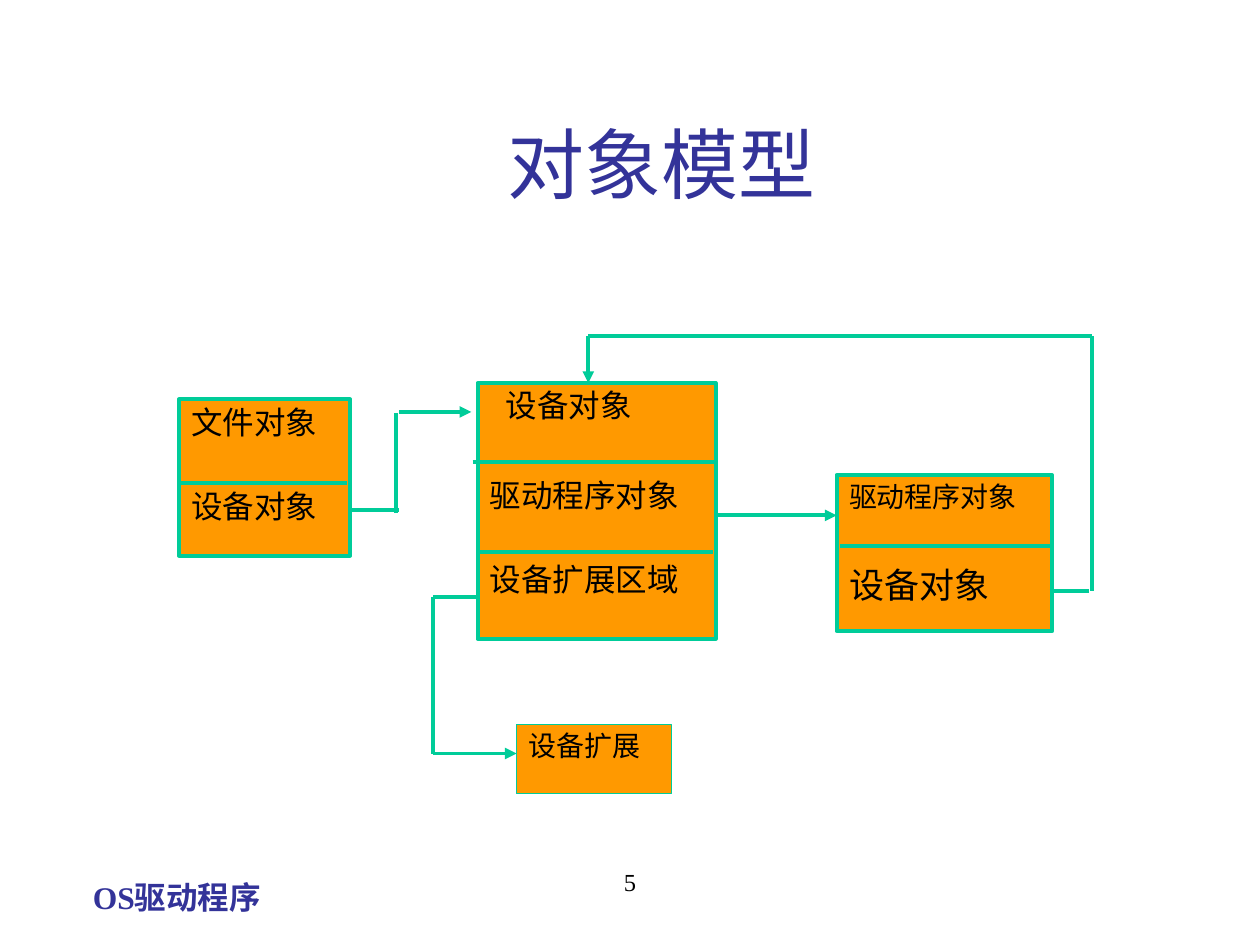
import pptx
import pptx.util
import pptx.dml.color
import pptx.enum.shapes
import pptx.enum.text
import pptx.oxml.ns
from lxml import etree

Pt = pptx.util.Pt
RGB = pptx.dml.color.RGBColor
ALIGN = pptx.enum.text.PP_ALIGN
ANCHOR = pptx.enum.text.MSO_ANCHOR
qn = pptx.oxml.ns.qn

NAVY = RGB(0x33, 0x33, 0x99)
GREEN = RGB(0x00, 0xCC, 0x99)
ORANGE = RGB(0xFF, 0x99, 0x00)
BLACK = RGB(0, 0, 0)
SERIF = "Times New Roman"
SANS = "Noto Sans CJK SC"


def style(para, size, name, color, bold=False):
    for run in para.runs:
        font = run.font
        font.size, font.name, font.bold = Pt(size), name, bold
        font.color.rgb = color
        if name == SANS:
            east = etree.SubElement(run._r.get_or_add_rPr(), qn("a:ea"))
            east.set("typeface", name)


def link(x1, y1, x2, y2, arrow=False):
    line = slide.shapes.add_connector(
        pptx.enum.shapes.MSO_CONNECTOR.STRAIGHT, Pt(x1), Pt(y1), Pt(x2), Pt(y2))
    line.line.color.rgb = GREEN
    line.line.width = Pt(2.25)
    if arrow:
        etree.SubElement(line.line._get_or_add_ln(), qn("a:tailEnd")).set("type", "triangle")
    etree.SubElement(line._element.spPr, qn("a:effectLst"))


prs = pptx.Presentation()
prs.slide_width, prs.slide_height = Pt(720), Pt(540)
slide = prs.slides.add_slide(prs.slide_layouts[5])

# Title
title = slide.shapes.title
title.left, title.top, title.width, title.height = Pt(72), Pt(48), Pt(612), Pt(90)
title.text_frame.text = "对象模型"
title.text_frame.vertical_anchor = ANCHOR.MIDDLE
title.text_frame.paragraphs[0].alignment = ALIGN.CENTER
style(title.text_frame.paragraphs[0], 44, SERIF, NAVY)

# Footer and page number
notes = [
    ("OS驱动程序", 46, 498, 115, 29, 18, NAVY, True, ALIGN.LEFT),
    ("5", 246, 492, 228, 36, 14, BLACK, False, ALIGN.CENTER),
]
for text, x, y, w, h, size, color, bold, align in notes:
    frame = slide.shapes.add_textbox(Pt(x), Pt(y), Pt(w), Pt(h)).text_frame
    frame.word_wrap = align == ALIGN.CENTER
    frame.text = text
    frame.paragraphs[0].alignment = align
    style(frame.paragraphs[0], size, SERIF, color, bold)

# Object boxes: place, line width, rows of (text, size, space before, indent)
boxes = [
    (102.24, 228.24, 97.92, 89.28, 2.25,
     [("文件对象", 18, 0, 0), ("设备对象", 18, 28, 0)]),
    (272.88, 218.88, 136.08, 146.16, 2.25,
     [("设备对象", 18, 0, 9), ("驱动程序对象", 18, 31, 0), ("设备扩展区域", 18, 28, 0)]),
    (478.08, 271.44, 123.12, 89.28, 2.25,
     [("驱动程序对象", 16, 0, 0), ("设备对象", 20, 31, 0)]),
    (295.2, 414, 88.56, 39.6, 0.75,
     [("设备扩展", 16, 0, 0)]),
]
for x, y, w, h, width, rows in boxes:
    box = slide.shapes.add_shape(
        pptx.enum.shapes.MSO_SHAPE.RECTANGLE, Pt(x), Pt(y), Pt(w), Pt(h))
    box.shadow.inherit = False
    box.fill.solid()
    box.fill.fore_color.rgb = ORANGE
    box.line.color.rgb = GREEN
    box.line.width = Pt(width)
    frame = box.text_frame
    frame.word_wrap = True
    frame.vertical_anchor = ANCHOR.TOP
    frame.text = "\n".join(row[0] for row in rows)
    for para, (text, size, gap, indent) in zip(frame.paragraphs, rows):
        para.alignment = ALIGN.LEFT
        para.line_spacing = Pt(round(size * 1.1))
        para.space_before = Pt(gap)
        para._p.get_or_add_pPr().set("marL", str(Pt(indent)))
        style(para, size, SANS, BLACK)

# Row dividers
for x1, x2, y in [(102, 198, 276), (270, 408, 264), (273.6, 407.5, 315.4), (480, 600, 312)]:
    link(x1, y, x2, y)

# File object to device object
link(200.16, 291.6, 228.24, 291.6)
link(226.08, 293, 226.08, 236.2)
link(228.24, 235.4, 269.3, 235.4, True)

# Device object to driver object
link(408.96, 294.5, 478.08, 294.5, True)

# Extension area to device extension
link(272.88, 341.3, 247.7, 341.3)
link(247.7, 341.3, 247.7, 430.6)
link(247.7, 430.6, 295.2, 430.6, True)

# Driver object back to device object
link(599.8, 337.7, 622.1, 337.7)
link(624.2, 337.7, 624.2, 192.2)
link(624.2, 192.2, 336.2, 192.2)
link(336.2, 192.2, 336.2, 218.88, True)

prs.save("out.pptx")
